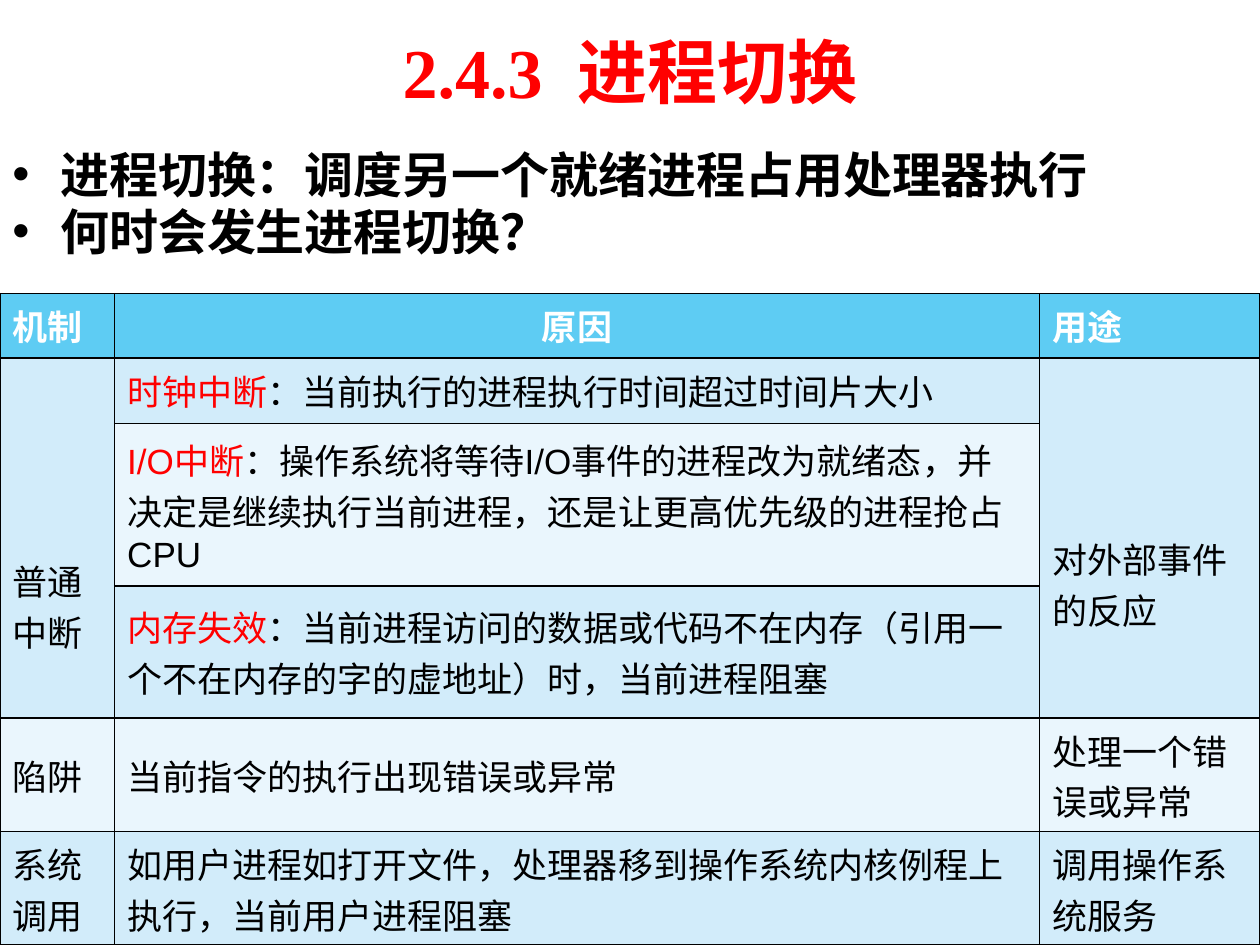
import dataclasses
import typing

import lxml.etree
import pptx
import pptx.dml.color
import pptx.enum.text
import pptx.oxml.ns
import pptx.util

Align = pptx.enum.text.PP_ALIGN
Anchor = pptx.enum.text.MSO_ANCHOR
qn = pptx.oxml.ns.qn


@dataclasses.dataclass(frozen=True)
class Theme:
    red: str = "FF0000"
    black: str = "000000"
    white: str = "FFFFFF"
    head: str = "5ECCF3"
    deep: str = "D2ECFA"
    pale: str = "EAF6FD"
    title: int = 40
    body: int = 28
    cell: int = 20
    serif: str = "Times New Roman"
    sans: str = "Arial"


@dataclasses.dataclass(frozen=True)
class Entry:
    row: int
    col: int
    text: str
    key: str = ""
    span: int = 1
    drop: float = 0


THEME = Theme()
WIDTH = pptx.util.Inches(10)
HEIGHT = pptx.util.Inches(7.5)
UNIT = WIDTH / 100

COLS = [9.1, 73.4, 17.5]
ROWS = [5.1, 5.2, 12.9, 10.5, 9, 9]
BANDS = [THEME.head, THEME.deep, THEME.pale, THEME.deep, THEME.pale, THEME.deep]
POINTS = ["进程切换：调度另一个就绪进程占用处理器执行", "何时会发生进程切换？"]
ENTRIES = [
    Entry(0, 0, "机制"),
    Entry(0, 1, "原因"),
    Entry(0, 2, "用途"),
    Entry(1, 0, "普通中断", span=3, drop=10.7),
    Entry(1, 1, "：当前执行的进程执行时间超过时间片大小", "时钟中断"),
    Entry(1, 2, "对外部事件的反应", span=3, drop=7.2),
    Entry(2, 1, "：操作系统将等待I/O事件的进程改为就绪态，并决定是继续执行当前进程，还是让更高优先级的进程抢占CPU", "I/O中断"),
    Entry(3, 1, "：当前进程访问的数据或代码不在内存（引用一个不在内存的字的虚地址）时，当前进程阻塞", "内存失效"),
    Entry(4, 0, "陷阱"),
    Entry(4, 1, "当前指令的执行出现错误或异常"),
    Entry(4, 2, "处理一个错误或异常"),
    Entry(5, 0, "系统调用"),
    Entry(5, 1, "如用户进程如打开文件，处理器移到操作系统内核例程上执行，当前用户进程阻塞"),
    Entry(5, 2, "调用操作系统服务"),
]


def grid(*spans: float) -> list[int]:
    return [round(span * UNIT) for span in spans]


def tint(hue: str) -> typing.Any:
    return pptx.dml.color.RGBColor.from_string(hue)


def style(item: typing.Any, form: dict) -> None:
    for name, value in form.items():
        setattr(item, name, value)


def write(para: typing.Any, text: str, size: int, face: str, hue: str, bold: bool) -> typing.Any:
    run = para.add_run()
    run.text = text
    style(run.font, {"size": pptx.util.Pt(size), "name": face, "bold": bold})
    run.font.color.rgb = tint(hue)
    return run


def frame(slide: typing.Any, area: list[int], form: dict) -> typing.Any:
    text = slide.shapes.add_textbox(*area).text_frame
    style(text, {"word_wrap": True, **form})
    return text


def heading(slide: typing.Any) -> None:
    text = frame(slide, grid(5, 0.5, 90, 10.2), {"vertical_anchor": Anchor.MIDDLE})
    para = text.paragraphs[0]
    para.alignment = Align.CENTER
    for part in ("2.4.3", " ", "进程切换"):
        run = write(para, part, THEME.title, THEME.serif, THEME.red, True)
        if part == " ":
            run.font._element.set("spc", "1000")


def bullets(slide: typing.Any) -> None:
    top = grid(1.3)[0]
    text = frame(slide, grid(0, 11, 100, 9.9), {"margin_top": top})
    dent = grid(3.8)[0]
    for index, point in enumerate(POINTS):
        para = text.add_paragraph() if index else text.paragraphs[0]
        para.line_spacing = 0.81
        if index:
            para.space_before = pptx.util.Pt(THEME.body * 0.2)
        props = para._p.get_or_add_pPr()
        props.set("marL", str(dent))
        props.set("indent", str(-dent))
        font = lxml.etree.SubElement(props, qn("a:buFont"))
        font.set("typeface", THEME.sans)
        mark = lxml.etree.SubElement(props, qn("a:buChar"))
        mark.set("char", "•")
        write(para, point, THEME.body, THEME.sans, THEME.black, True)


def border(cell: typing.Any) -> None:
    props = cell._tc.get_or_add_tcPr()
    for index, side in enumerate(("lnL", "lnR", "lnT", "lnB")):
        line = lxml.etree.Element(qn(f"a:{side}"), w=str(pptx.util.Pt(1)))
        fill = lxml.etree.SubElement(line, qn("a:solidFill"))
        lxml.etree.SubElement(fill, qn("a:srgbClr"), val=THEME.black)
        props.insert(index, line)


def enter(table: typing.Any, entry: Entry) -> None:
    cell = table.cell(entry.row, entry.col)
    if entry.span > 1:
        cell.merge(table.cell(entry.row + entry.span - 1, entry.col))
    first = entry.row == 0
    cell.vertical_anchor = Anchor.TOP if first else Anchor.MIDDLE
    cell.margin_top = grid(0.5 + entry.drop)[0]
    para = cell.text_frame.paragraphs[0]
    para.alignment = Align.CENTER if first and entry.col == 1 else Align.LEFT
    if entry.key:
        write(para, entry.key, THEME.cell, THEME.sans, THEME.red, False)
    hue = THEME.white if first else THEME.black
    write(para, entry.text, THEME.cell, THEME.sans, hue, first)


def matrix(slide: typing.Any) -> None:
    area = grid(0, 23.3, sum(COLS), sum(ROWS))
    table = slide.shapes.add_table(len(ROWS), len(COLS), *area).table
    for col, width in zip(table.columns, grid(*COLS)):
        col.width = width
    for row, height, band in zip(table.rows, grid(*ROWS), BANDS):
        row.height = height
        for cell in row.cells:
            cell.fill.solid()
            cell.fill.fore_color.rgb = tint(band)
            border(cell)
    for entry in ENTRIES:
        enter(table, entry)


def main() -> None:
    deck = pptx.Presentation()
    style(deck, {"slide_width": WIDTH, "slide_height": HEIGHT})
    slide = deck.slides.add_slide(deck.slide_layouts[6])
    heading(slide)
    bullets(slide)
    matrix(slide)
    deck.save("out.pptx")


if __name__ == "__main__":
    main()
